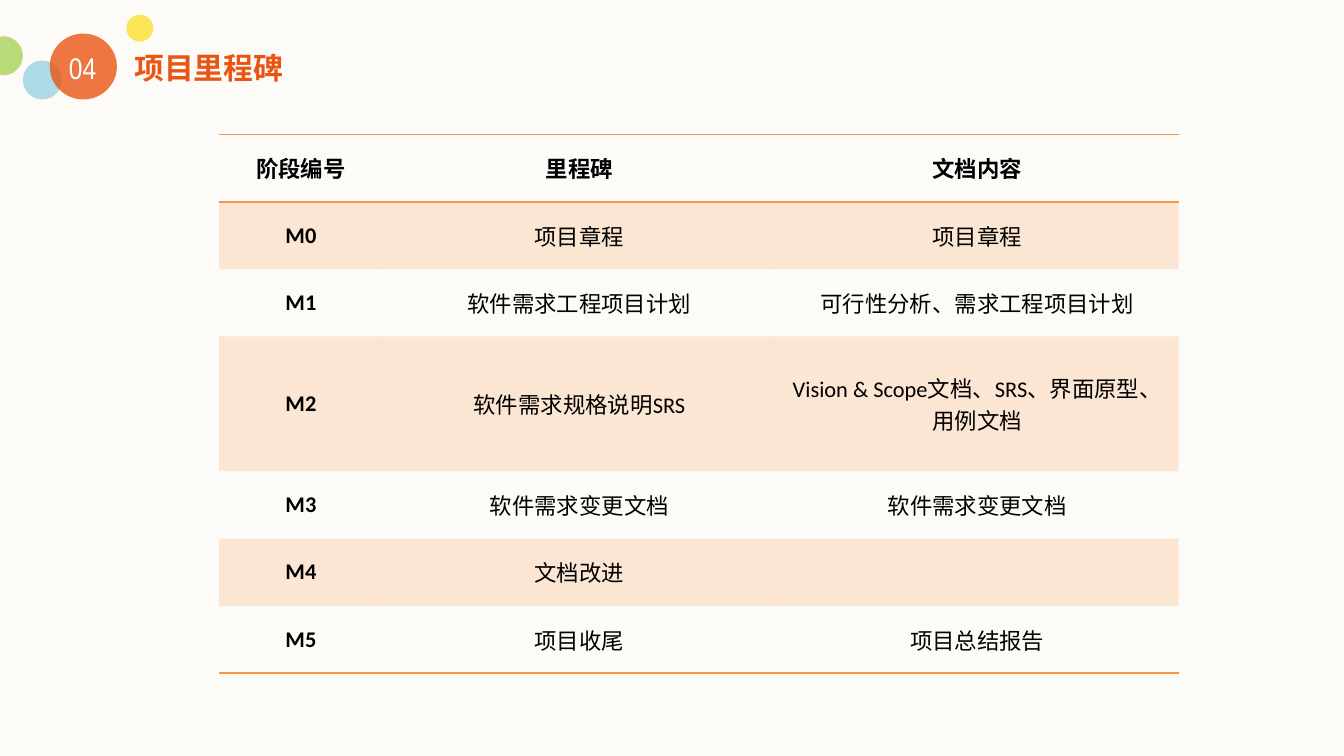
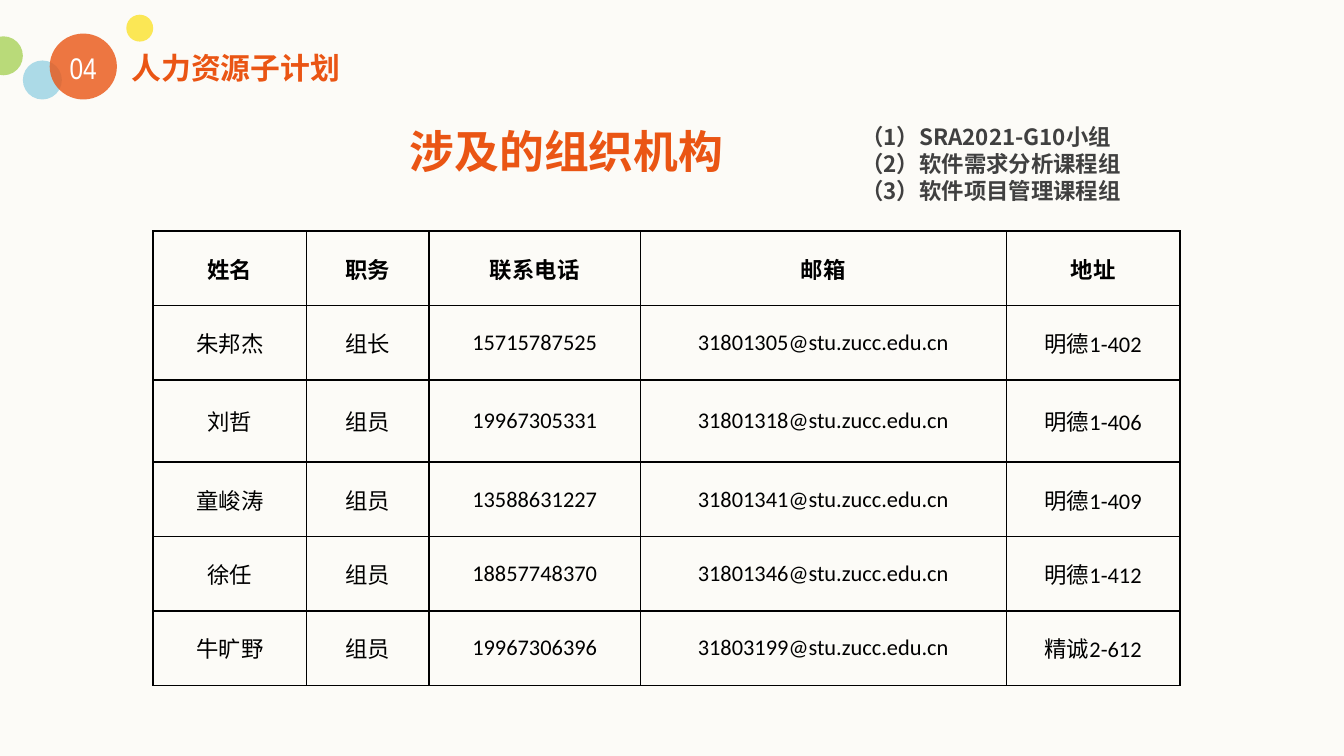
from dataclasses import dataclass

from lxml.etree import SubElement
from pptx import Presentation
from pptx.dml.color import RGBColor as Rgb
from pptx.enum.shapes import MSO_SHAPE as Preset
from pptx.enum.text import MSO_ANCHOR as Anchor, MSO_AUTO_SIZE as Fit, PP_ALIGN as Align
from pptx.oxml.ns import qn
from pptx.util import Inches, Pt


@dataclass(frozen=True)
class Theme:
    paper: str = "FCFBF7"
    orange: str = "EA5514"
    yellow: str = "FBE22D"
    green: str = "A9D25A"
    blue: str = "98D2E3"
    band: str = "F79646"
    white: str = "FFFFFF"
    black: str = "000000"
    gray: str = "404040"
    cjk: str = "Noto Sans CJK SC"
    number_font: str = "Arial Narrow"
    table_font: str = "Calibri"
    heading: int = 24
    title: int = 16
    body: int = 12


THEME = Theme()
TITLE_ONLY = 5
SLIDE_WIDTH = 10
SLIDE_HEIGHT = SLIDE_WIDTH * 9 / 16
CIRCLES = [
    ((0.94, 0.11, 0.2, 0.2), THEME.yellow),
    ((-0.12, 0.27, 0.29, 0.29), THEME.green),
    ((0.17, 0.45, 0.29, 0.29), THEME.blue),
    ((0.37, 0.25, 0.5, 0.49), THEME.orange),
]
FLUSH = dict.fromkeys(("margin_left", "margin_right", "margin_top", "margin_bottom"), 0)
CELL_FORMAT = {
    "margin_left": Inches(0.07),
    "margin_right": Inches(0.07),
    "margin_top": 0,
    "margin_bottom": 0,
    "vertical_anchor": Anchor.MIDDLE,
}
MILESTONES = [
    ("阶段编号", "里程碑", "文档内容"),
    ("M0", "项目章程", "项目章程"),
    ("M1", "软件需求工程项目计划", "可行性分析、需求工程项目计划"),
    ("M2", "软件需求规格说明SRS", "Vision & Scope文档、SRS、界面原型、用例文档"),
    ("M3", "软件需求变更文档", "软件需求变更文档"),
    ("M4", "文档改进", ""),
    ("M5", "项目收尾", "项目总结报告"),
]
MEMBERS = [
    ("姓名", "职务", "联系电话", "邮箱", "地址"),
    ("朱邦杰", "组长", "15715787525", "31801305@stu.zucc.edu.cn", "明德1-402"),
    ("刘哲", "组员", "19967305331", "31801318@stu.zucc.edu.cn", "明德1-406"),
    ("童峻涛", "组员", "13588631227", "31801341@stu.zucc.edu.cn", "明德1-409"),
    ("徐任", "组员", "18857748370", "31801346@stu.zucc.edu.cn", "明德1-412"),
    ("牛旷野", "组员", "19967306396", "31803199@stu.zucc.edu.cn", "精诚2-612"),
]
ORGANIZATIONS = ["（1）SRA2021-G10小组", "（2）软件需求分析课程组", "（3）软件项目管理课程组"]


def apply(target, values):
    for name, value in values.items():
        setattr(target, name, value)


def inches(lengths):
    return [Inches(length) for length in lengths]


def share(total, weights):
    return inches(total * weight / sum(weights) for weight in weights)


def set_alpha(properties, percent):
    color = properties.find(qn("a:solidFill")).find(qn("a:srgbClr"))
    SubElement(color, qn("a:alpha"), val=str(percent * 1000))


def write(paragraph, text, size, color, font=THEME.cjk, bold=False, align=Align.LEFT):
    paragraph.alignment = align
    run = paragraph.add_run()
    run.text = text
    apply(run.font, {"size": Pt(size), "bold": bold, "name": font})
    run.font.color.rgb = Rgb.from_string(color)
    SubElement(run.font._element, qn("a:ea"), typeface=THEME.cjk)


def fill_frame(frame, lines, size, color, indent=0, flush=False, **style):
    apply(frame, {"word_wrap": True, "auto_size": Fit.SHAPE_TO_FIT_TEXT, "vertical_anchor": Anchor.TOP})
    if flush:
        apply(frame, FLUSH)
    for index, line in enumerate(lines):
        paragraph = frame.add_paragraph() if index else frame.paragraphs[0]
        paragraph.line_spacing = Pt(size * 1.2)
        if indent:
            paragraph._p.get_or_add_pPr().set("indent", str(Inches(indent)))
        write(paragraph, line, size, color, **style)


def add_text(slide, box, lines, size, color, **style):
    fill_frame(slide.shapes.add_textbox(*inches(box)).text_frame, lines, size, color, **style)


def add_header(slide, title, title_box, number_box):
    for box, color in CIRCLES:
        circle = slide.shapes.add_shape(Preset.OVAL, *inches(box))
        circle.shadow.inherit = False
        circle.fill.solid()
        circle.fill.fore_color.rgb = Rgb.from_string(color)
        circle.line.fill.background()
        set_alpha(circle._element.spPr, 80)
    add_text(slide, number_box, ["04"], THEME.title, THEME.white,
             flush=True, font=THEME.number_font, align=Align.CENTER)
    heading = slide.shapes.title
    apply(heading, dict(zip(("left", "top", "width", "height"), inches(title_box))))
    fill_frame(heading.text_frame, [title], THEME.title, THEME.orange, flush=True, bold=True)


def set_borders(cell, colors):
    properties = cell._tc.get_or_add_tcPr()
    for side in "LRTB":
        line = SubElement(properties, qn(f"a:ln{side}"), w=str(Pt(1)))
        if side in colors:
            fill = SubElement(line, qn("a:solidFill"))
            SubElement(fill, qn("a:srgbClr"), val=colors[side])
        else:
            SubElement(line, qn("a:noFill"))


def add_grid(slide, box, column_weights, row_weights, records, borders, is_banded, is_bold):
    table = slide.shapes.add_table(len(row_weights), len(column_weights), *inches(box)).table
    apply(table, {"first_row": False, "horz_banding": False})
    for column, width in zip(table.columns, share(box[2], column_weights)):
        column.width = width
    for r, (height, record) in enumerate(zip(share(box[3], row_weights), records)):
        table.rows[r].height = height
        for c, value in enumerate(record):
            cell = table.cell(r, c)
            apply(cell, CELL_FORMAT)
            set_borders(cell, borders(r))
            if is_banded(r):
                cell.fill.solid()
                cell.fill.fore_color.rgb = Rgb.from_string(THEME.band)
                set_alpha(cell._tc.tcPr, 20)
            else:
                cell.fill.background()
            if value:
                write(cell.text_frame.paragraphs[0], value, THEME.body, THEME.black,
                      THEME.table_font, is_bold(r, c), Align.CENTER)


def milestone_borders(row):
    sides = {0: "TB", 1: "T", len(MILESTONES) - 1: "B"}.get(row, "")
    return dict.fromkeys(sides, THEME.band)


def build_milestones(slide):
    add_header(slide, "项目里程碑", (1, 0.37, 1.34, 0.27), (0.4, 0.37, 0.43, 0.27))
    row_weights = [2 if record[0] == "M2" else 1 for record in MILESTONES]
    add_grid(slide, (1.63, 1, 7.14, 4.01), [1.22, 2.93, 3], row_weights, MILESTONES, milestone_borders,
             is_banded=lambda r: r % 2 == 1, is_bold=lambda r, c: r == 0 or c == 0)


def build_members(slide):
    add_header(slide, "人力资源子计划", (0.98, 0.37, 1.7, 0.27), (0.37, 0.37, 0.5, 0.27))
    add_text(slide, (2.95, 0.87, 2.76, 0.5), ["涉及的组织机构"], THEME.heading, THEME.orange, bold=True)
    add_text(slide, (6.02, 0.87, 2.76, 0.71), ORGANIZATIONS, THEME.body, THEME.gray, indent=0.29, bold=True)
    row_weights = [0.61 if record[0] == "刘哲" else 0.55 for record in MEMBERS]
    add_grid(slide, (1.14, 1.72, 7.64, 3.38), [1.14, 0.91, 1.57, 2.72, 1.29], row_weights, MEMBERS,
             lambda r: dict.fromkeys("LRTB", THEME.black),
             is_banded=lambda r: False, is_bold=lambda r, c: r == 0)


def main():
    deck = Presentation()
    apply(deck, {"slide_width": Inches(SLIDE_WIDTH), "slide_height": Inches(SLIDE_HEIGHT)})
    paper = deck.slide_master.background.fill
    paper.solid()
    paper.fore_color.rgb = Rgb.from_string(THEME.paper)
    for build in (build_milestones, build_members):
        build(deck.slides.add_slide(deck.slide_layouts[TITLE_ONLY]))
    deck.save("out.pptx")


if __name__ == "__main__":
    main()
